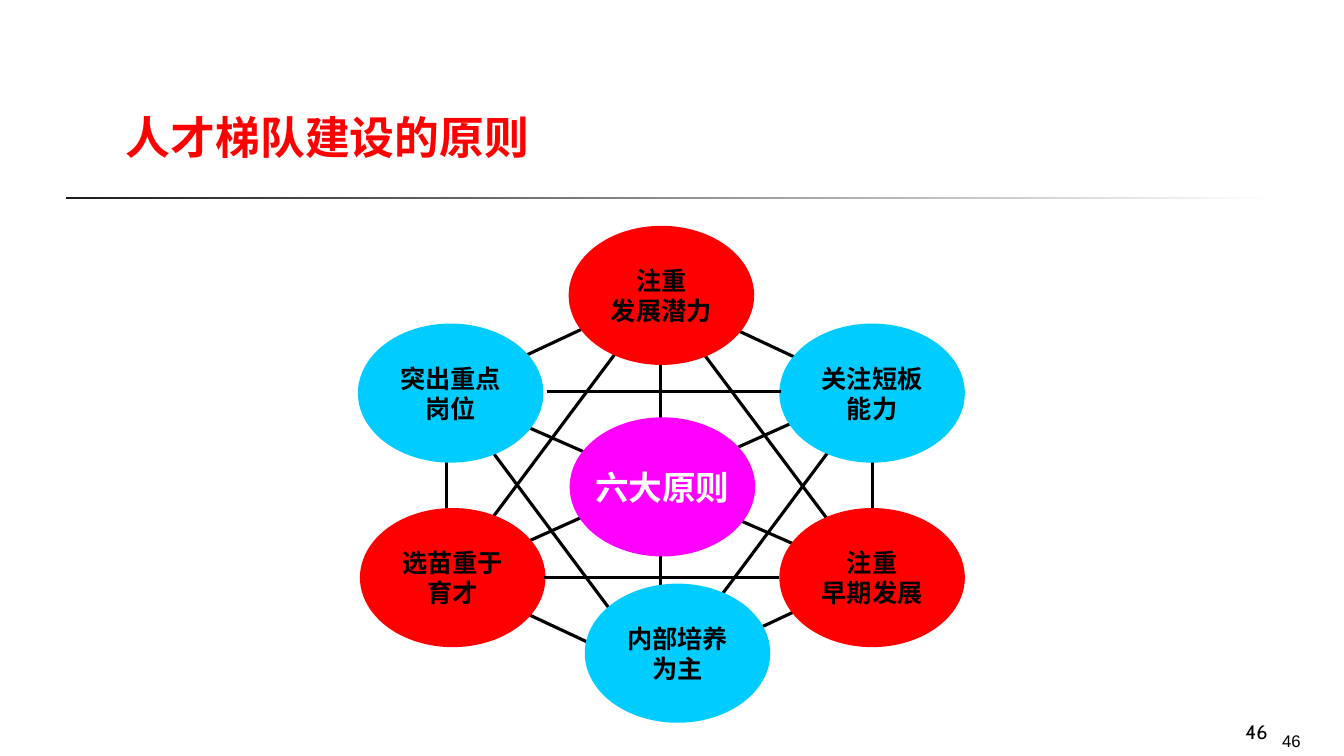
"""Build the slide on the six principles of talent pipelines."""
from typing import NamedTuple

from lxml import etree
from pptx import Presentation
from pptx import util as u
from pptx.dml.color import RGBColor
from pptx.enum import shapes, text
from pptx.oxml.ns import qn

PX = 9144
HAN = "Noto Sans CJK SC"
RED, CYAN, PINK = "FF0000", "00CCFF", "FF00FF"
BLACK, WHITE = "000000", "FFFFFF"
OVAL_W, OVAL_H = 184, 138


class Style(NamedTuple):
    """Look of a run of text."""
    size: int
    font: str
    ink: str
    bold: bool


class Oval(NamedTuple):
    """An ellipse with its lines of text."""
    x: int
    y: int
    fill: str
    lines: tuple[str, ...]
    style: Style = Style(18, HAN, BLACK, True)


class Link(NamedTuple):
    """A straight line between two points."""
    x1: int
    y1: int
    x2: int
    y2: int


class Label(NamedTuple):
    """A text box with one line of text."""
    x: int
    y: int
    w: int
    h: int
    words: str
    style: Style
    align: text.PP_ALIGN
    anchor: text.MSO_ANCHOR


LINKS = (
    Link(656, 295, 858, 565), Link(652, 295, 450, 565),
    Link(448, 394, 650, 665), Link(862, 394, 660, 665),
    Link(865, 390, 865, 542), Link(443, 390, 443, 542),
    Link(651, 292, 448, 387), Link(655, 292, 858, 387),
    Link(651, 669, 448, 574), Link(655, 669, 858, 574),
    Link(446, 572, 856, 388), Link(863, 573, 442, 388),
    Link(655, 341, 655, 645),
)
BARS = (Link(540, 573, 773, 573), Link(543, 388, 775, 388))
OVALS = (
    Oval(355, 321, CYAN, ("突出重点", "岗位")),
    Oval(773, 321, CYAN, ("关注短板", "能力")),
    Oval(773, 504, RED, ("注重", "早期发展")),
    Oval(357, 504, RED, ("选苗重于", "育才")),
    Oval(565, 414, PINK, ("六大原则",), Style(24, HAN, WHITE, True)),
    Oval(580, 579, CYAN, ("内部培养", "为主")),
    Oval(564, 224, RED, ("注重", "发展潜力")),
)
LABELS = (
    Label(1022, 720, 278, 30, "46", Style(12, "Arial", BLACK, False),
          text.PP_ALIGN.RIGHT, text.MSO_ANCHOR.TOP),
    Label(989, 692, 278, 50, "46", Style(14, "Cabin", BLACK, False),
          text.PP_ALIGN.RIGHT, text.MSO_ANCHOR.BOTTOM),
    Label(115, 91, 798, 89, "人才梯队建设的原则", Style(32, "Cabin", RED, True),
          text.PP_ALIGN.LEFT, text.MSO_ANCHOR.MIDDLE),
)


def px(n: int) -> u.Emu:
    """Turn px into EMU."""
    return u.Emu(n * PX)


def hue(code: str) -> RGBColor:
    """Turn a hex string into a colour."""
    return RGBColor.from_string(code)


def write(para, words: str, style: Style, align: text.PP_ALIGN) -> None:
    """Add one run to a paragraph."""
    para.alignment = align
    run = para.add_run()
    run.text = words
    font = run.font
    font.size, font.bold, font.name = u.Pt(style.size), style.bold, style.font
    font.color.rgb = hue(style.ink)
    east = etree.SubElement(run._r.get_or_add_rPr(), qn("a:ea"))
    east.set("typeface", HAN)


def draw_rule(slide) -> None:
    """Draw the fading rule under the title."""
    rule = slide.shapes.add_shape(
        shapes.MSO_SHAPE.RECTANGLE, px(65), px(195), px(1199), px(3))
    rule.shadow.inherit = False
    rule.line.fill.background()
    rule.fill.gradient()
    rule.fill.gradient_angle = 0
    for stop, code in zip(rule.fill.gradient_stops, ("1C1C1C", WHITE)):
        stop.color.rgb = hue(code)


def draw_link(slide, link: Link) -> None:
    """Draw a plain black line."""
    line = slide.shapes.add_connector(
        shapes.MSO_CONNECTOR.STRAIGHT, *map(px, link))
    line.line.color.rgb = hue(BLACK)
    line.line.width = u.Pt(2.25)
    etree.SubElement(line._element.spPr, qn("a:effectLst"))


def draw_oval(slide, oval: Oval) -> None:
    """Draw an ellipse with centred text."""
    shape = slide.shapes.add_shape(
        shapes.MSO_SHAPE.OVAL, px(oval.x), px(oval.y), px(OVAL_W), px(OVAL_H))
    shape.shadow.inherit = False
    shape.fill.solid()
    shape.fill.fore_color.rgb = hue(oval.fill)
    shape.line.fill.background()
    frame = shape.text_frame
    frame.word_wrap = False
    frame.vertical_anchor = text.MSO_ANCHOR.MIDDLE
    frame.margin_left = frame.margin_right = 0
    frame.margin_top = frame.margin_bottom = 0
    for i, words in enumerate(oval.lines):
        para = frame.add_paragraph() if i else frame.paragraphs[0]
        write(para, words, oval.style, text.PP_ALIGN.CENTER)


def draw_label(slide, label: Label) -> None:
    """Draw a text box."""
    box = slide.shapes.add_textbox(*map(px, label[:4]))
    frame = box.text_frame
    frame.word_wrap = True
    frame.vertical_anchor = label.anchor
    write(frame.paragraphs[0], label.words, label.style, label.align)


def main() -> None:
    """Build and save the slide."""
    deck = Presentation()
    deck.slide_width, deck.slide_height = px(1333), px(750)
    slide = deck.slides.add_slide(deck.slide_layouts[6])
    draw_rule(slide)
    for link in LINKS:
        draw_link(slide, link)
    for oval in OVALS:
        draw_oval(slide, oval)
    for bar in BARS:
        draw_link(slide, bar)
    for label in LABELS:
        draw_label(slide, label)
    deck.save("out.pptx")


if __name__ == "__main__":
    main()
